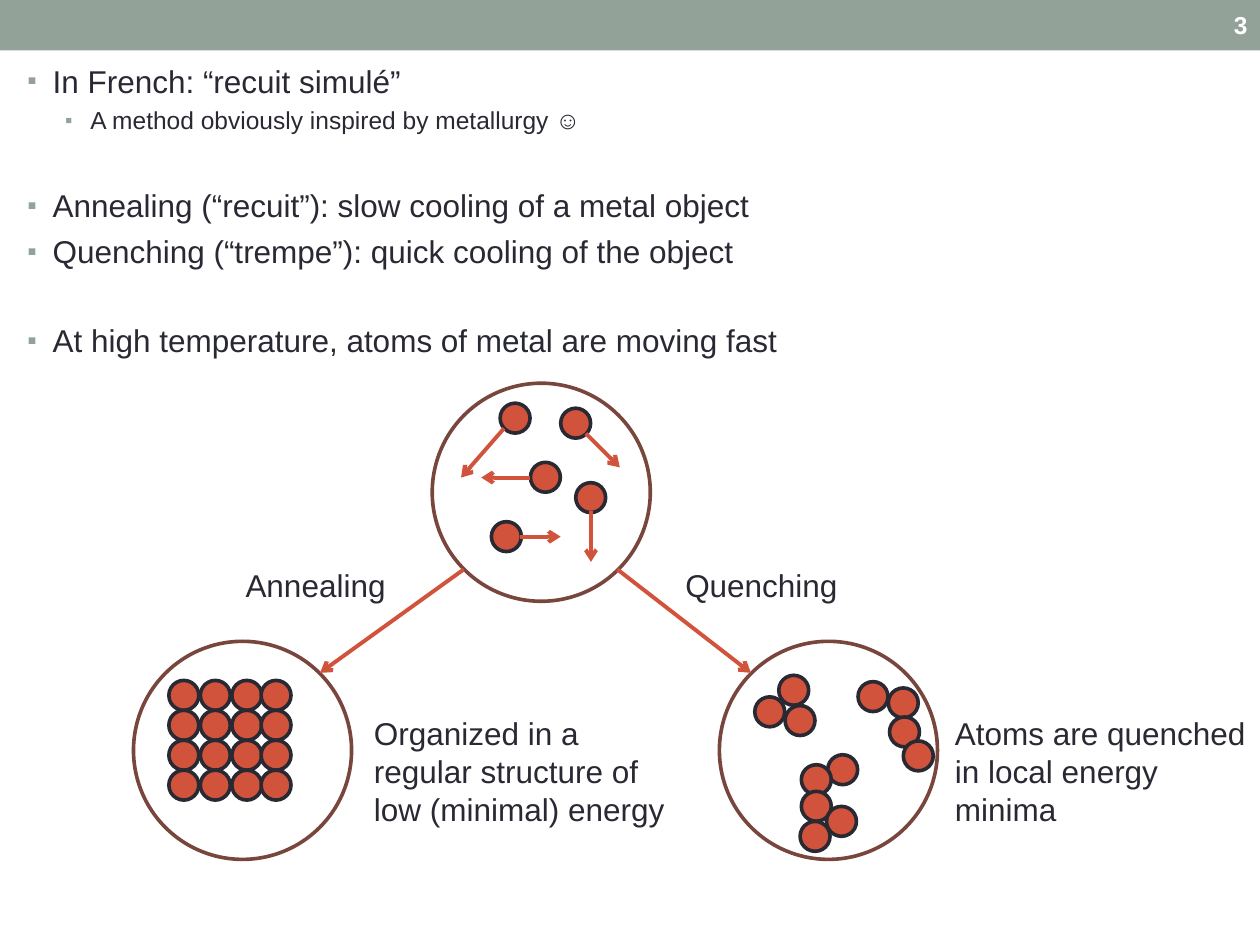
from lxml import etree
from pptx import Presentation
from pptx.dml.color import RGBColor
from pptx.enum.shapes import MSO_CONNECTOR, MSO_SHAPE
from pptx.enum.text import MSO_ANCHOR, PP_ALIGN
from pptx.oxml.ns import qn
from pptx.util import Pt

RECTANGLE, OVAL = MSO_SHAPE.RECTANGLE, MSO_SHAPE.OVAL
STRAIGHT = MSO_CONNECTOR.STRAIGHT
TOP, MIDDLE = MSO_ANCHOR.TOP, MSO_ANCHOR.MIDDLE
LEFT, RIGHT = PP_ALIGN.LEFT, PP_ALIGN.RIGHT

SAGE = RGBColor(0x93, 0xA2, 0x99)
INK = RGBColor(0x29, 0x29, 0x34)
RED = RGBColor(0xD2, 0x53, 0x3C)
BROWN = RGBColor(0x79, 0x46, 0x3D)
WHITE = RGBColor(0xFF, 0xFF, 0xFF)

ATOM_SIZE, VESSEL_SIZE = 17.1, 124.6
OUTLINE, ARROW_WIDTH = 2.08, 2.25

# Text, level, space before
BULLETS = [
    ("In French: “recuit simulé”", 0, 0),
    ("A method obviously inspired by metallurgy ☺", 1, 3.4),
    ("Annealing (“recuit”): slow cooling of a metal object", 0, 29.5),
    ("Quenching (“trempe”): quick cooling of the object", 0, 4.4),
    ("At high temperature, atoms of metal are moving fast", 0, 29.5),
]
LEVELS = [{"size": 18, "margin": 14.4}, {"size": 14, "margin": 36}]
HANGING = 14.4

VESSELS = [(247, 219), (76.3, 366.5), (411.1, 366.5)]

# Atom corner, start and end of its motion arrow
MOVING_ATOMS = [
    ((320.4, 233.3), (334.8, 247.7), (354.2, 267.1)),
    ((329, 275.8), (337.7, 292.3), (337.7, 321.1)),
    ((303.1, 264.2), (303.1, 272.9), (275, 272.9)),
    ((285.8, 230.4), (288, 244.8), (263.5, 272.9)),
    ((280.8, 298.1), (297.4, 306.7), (320.4, 306.7)),
]
LATTICE_COLUMNS = [96.5, 114.5, 132.5, 149.2]
LATTICE_TOP, LATTICE_ROWS = 388.8, 4
QUENCHED_ATOMS = [
    (445, 385.9), (431.3, 398.2), (448.6, 403.2),
    (490.3, 389.5), (507.6, 393.1), (508.3, 409.7), (516.2, 423.4),
    (473, 431.3), (457.9, 437), (457.9, 452.2), (472.3, 460.8), (457.2, 469.4),
]
COOLING_ARROWS = [
    ((265, 325.4), (182.9, 384.5)),
    ((352.8, 325.4), (429.1, 384.5)),
]
LABELS = [
    ("Annealing", (133.2, 319.7, 99.4, 28.8)),
    ("Quenching", (384.5, 319.7, 114.5, 28.8)),
    ("Organized in a regular structure of low (minimal) energy",
     (206.6, 404.6, 181.4, 72.7)),
    ("Atoms are quenched in local energy minima",
     (538.6, 404.6, 181.4, 72.7)),
]


class SlideBuilder:
    def __init__(self, page, font_name="Arial"):
        self.page = page
        self.font_name = font_name

    def format_font(self, font, size=18, color=INK, bold=False):
        values = {"name": self.font_name, "size": Pt(size), "bold": bold}
        for name, value in values.items():
            setattr(font, name, value)
        font.color.rgb = color

    def shape(self, kind, left, top, width, height, fill=None, line=None):
        shape = self.page.shapes.add_shape(
            kind, Pt(left), Pt(top), Pt(width), Pt(height))
        shape.shadow.inherit = False
        if fill is None:
            shape.fill.background()
        else:
            shape.fill.solid()
            shape.fill.fore_color.rgb = fill
        if line is None:
            shape.line.fill.background()
        else:
            shape.line.color.rgb = line
            shape.line.width = Pt(OUTLINE)

    def vessel(self, left, top):
        self.shape(OVAL, left, top, VESSEL_SIZE, VESSEL_SIZE, line=BROWN)

    def atom(self, left, top):
        self.shape(OVAL, left, top, ATOM_SIZE, ATOM_SIZE, RED, INK)

    def arrow(self, start, end):
        arrow = self.page.shapes.add_connector(
            STRAIGHT, *(Pt(value) for value in (*start, *end)))
        arrow.line.color.rgb = RED
        arrow.line.width = Pt(ARROW_WIDTH)
        etree.SubElement(arrow.line._get_or_add_ln(), qn("a:tailEnd"),
                         type="arrow")
        etree.SubElement(arrow._element.spPr, qn("a:effectLst"))

    def text_frame(self, left, top, width, height, anchor=TOP):
        box = self.page.shapes.add_textbox(
            Pt(left), Pt(top), Pt(width), Pt(height))
        frame = box.text_frame
        frame.word_wrap = True
        frame.vertical_anchor = anchor
        return frame

    def label(self, text, place, anchor=TOP, alignment=LEFT, **style):
        para = self.text_frame(*place, anchor=anchor).paragraphs[0]
        para.alignment = alignment
        span = para.add_run()
        span.text = text
        self.format_font(span.font, **style)

    def add_bullet(self, para, margin):
        properties = para._p.get_or_add_pPr()
        properties.set("marL", str(Pt(margin)))
        properties.set("indent", str(-Pt(HANGING)))
        color = etree.SubElement(properties, qn("a:buClr"))
        etree.SubElement(color, qn("a:srgbClr"), val=str(SAGE))
        etree.SubElement(properties, qn("a:buSzPct"), val="85000")
        etree.SubElement(properties, qn("a:buFont"), typeface=self.font_name)
        etree.SubElement(properties, qn("a:buChar"), char="▪")

    def bullet_list(self, items, place):
        frame = self.text_frame(*place)
        for index, (text, level, space) in enumerate(items):
            para = frame.add_paragraph() if index else frame.paragraphs[0]
            para.level = level
            para.space_before = Pt(space)
            self.add_bullet(para, LEVELS[level]["margin"])
            span = para.add_run()
            span.text = text
            self.format_font(span.font, LEVELS[level]["size"])


def main():
    deck = Presentation()
    deck.slide_width, deck.slide_height = Pt(720), Pt(540)
    blank_layout = deck.slide_layouts[6]
    builder = SlideBuilder(deck.slides.add_slide(blank_layout))

    builder.shape(RECTANGLE, 0, 0, 720, 28.8, fill=SAGE)
    builder.bullet_list(BULLETS, (8.6, 31.7, 702.7, 508.3))
    builder.label("3", (635.8, 1.4, 84.2, 25.9), MIDDLE, RIGHT,
                  size=14, color=WHITE, bold=True)

    for corner in VESSELS:
        builder.vessel(*corner)
    for corner, start, end in MOVING_ATOMS:
        builder.atom(*corner)
        builder.arrow(start, end)
    for row in range(LATTICE_ROWS):
        for left in LATTICE_COLUMNS:
            builder.atom(left, LATTICE_TOP + row * ATOM_SIZE)
    for corner in QUENCHED_ATOMS:
        builder.atom(*corner)
    for start, end in COOLING_ARROWS:
        builder.arrow(start, end)
    for text, place in LABELS:
        builder.label(text, place)

    deck.save("out.pptx")


if __name__ == "__main__":
    main()
